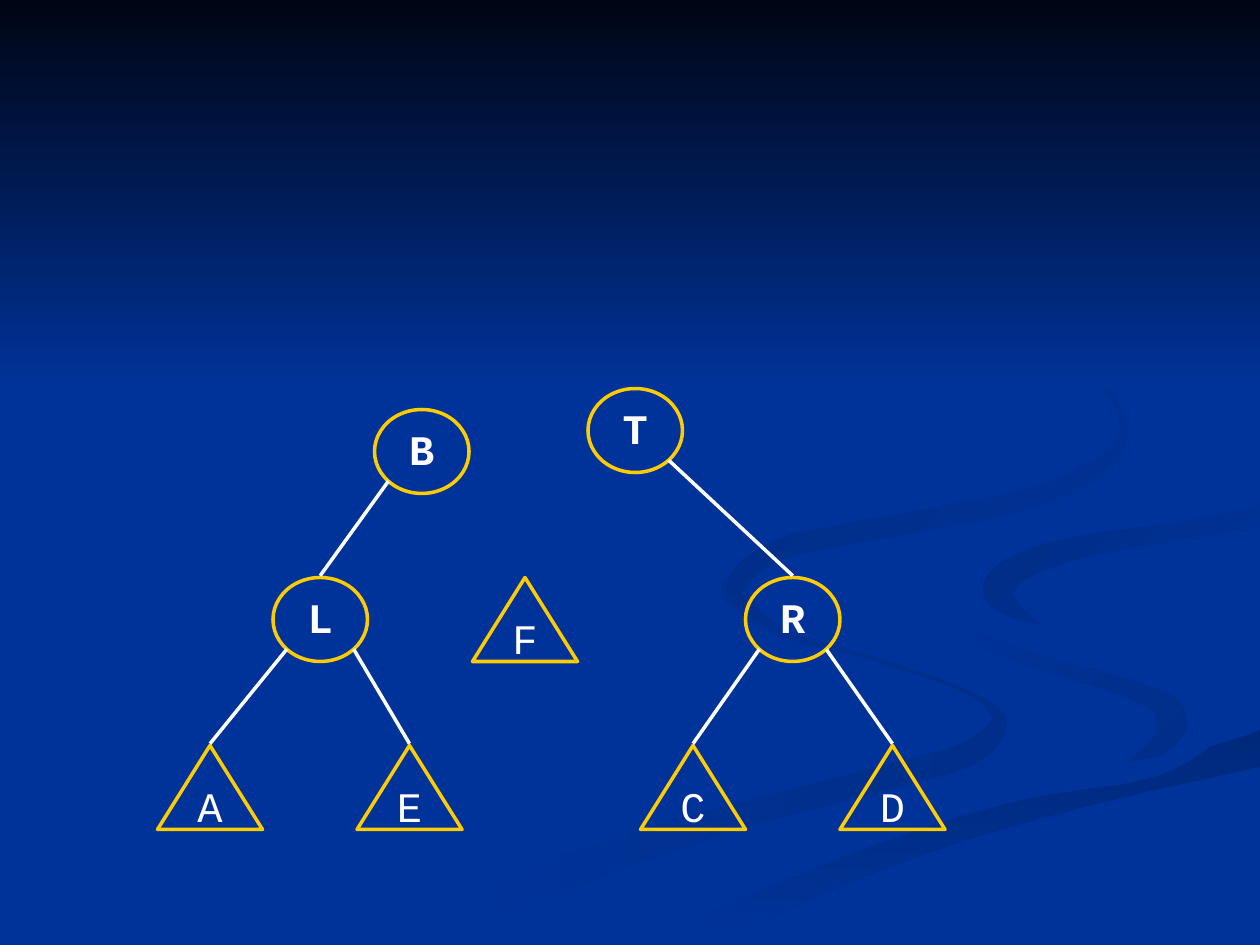
"""Draw a split search tree over a blue background with swirls."""
import math
from collections import namedtuple
from lxml import etree
from pptx import Presentation
from pptx import util as u
from pptx.dml.color import RGBColor
from pptx.enum import shapes as sh, text as tx
from pptx.oxml.ns import qn

BLUE = RGBColor(0x00, 0x33, 0x99)
NIGHT = RGBColor(0x00, 0x05, 0x14)
DEEP = RGBColor(0x00, 0x2E, 0x8A)
DARK = RGBColor(0x00, 0x29, 0x7C)
DUSK = RGBColor(0x00, 0x2C, 0x85)
SHADE = RGBColor(0x00, 0x2B, 0x81)
GOLD = RGBColor(0xFF, 0xCC, 0x00)
WHITE = RGBColor(0xFF, 0xFF, 0xFF)
FONT = "Courier New"

COLS, ROWS = 120, 90
TALL, ROUND, WIDE = 8, 9, 10
SKY = 37
STEPS = 6
FINE = 100
DIAG = math.cos(math.pi / 4) / 2

Swirl = namedtuple("Swirl", "first last angle spine")
Knot = namedtuple("Knot", "col row thick")

TAIL = Swirl(DEEP, BLUE, 180, [
    (69, 55.2, 0), (69.4, 57.1, 0.6), (74.4, 60.3, 0.6), (83.4, 62.8, 0.4),
    (91.2, 65.5, 0.4), (94.5, 67.5, 0.9), (94.9, 69.4, 1.9), (91.7, 72, 2.4),
    (83.4, 74.3, 2.3), (70.4, 77.7, 2.4), (60, 81, 2.9), (50, 84.6, 3.3), (39.7, 90, 3.7)])
CLAW = Swirl(DEEP, BLUE, 225, [
    (87, 55.7, 0), (89, 58.8, 1), (97.5, 62.6, 1.2), (106, 65.1, 1.6),
    (110.6, 66.8, 2.5), (111.6, 69.4, 3), (110.4, 71, 2), (107.3, 72.6, 0)])
BEAM = Swirl(DARK, BLUE, 90, [
    (121, 71.1, 3.4), (108.4, 74.4, 2.3), (95.6, 77.7, 2.3),
    (83.5, 81.6, 2.6), (72, 86.3, 3), (64.4, 90, 3.5)])
VEIL = Swirl(BLUE, BLUE, 0, [
    (121, 47.2, 1.8), (103.8, 50, 1.8), (95.4, 52, 3), (90.4, 55.5, 5.5),
    (93.6, 58.2, 3.2), (102, 61.4, 3), (112, 64.5, 3.4), (115.6, 68, 3.4),
    (110, 73.2, 1.5), (97.6, 75.5, 1.2), (84.5, 79.3, 1.4), (69, 85.3, 1.7), (59, 90, 2)])
CURL = Swirl(BLUE, DUSK, 225, [
    (121, 49.1, 2.2), (112.2, 50.6, 1.7), (103, 52.1, 2.1), (97, 54.1, 2.5),
    (95.1, 56.2, 2.9), (96.4, 58, 1.6), (99.1, 59.5, 0)])
HOOK = Swirl(BLUE, SHADE, 225, [
    (91.4, 28, 0), (100, 32.4, 0.6), (105, 36.5, 0.6), (107, 40.8, 0.7),
    (105, 44.2, 1.6), (98.6, 47.3, 2), (88.3, 49.5, 2), (81.6, 50.7, 2),
    (74, 52.4, 1.9), (70.2, 55.6, 1.9), (71.5, 58.1, 1.2), (74.6, 60, 0)])
SWIRLS = [TAIL, CLAW, BEAM, VEIL, CURL, HOOK]

NODES = {
    "T": (56, 37), "L": (26, 55), "R": (71, 55), "A": (15, 71), "D": (80, 71),
    "C": (61, 71), "B": (35.67, 39), "E": (34, 71), "F": (45, 55),
}
ROUNDS = "TLRB"
EDGES = ["LA", "TR", "RC", "RD", "BL", "LE"]


def place(box, col, row):
    """Turn a grid point of the box into slide units."""
    left, top, wide, high = box
    return int(left + col * wide / COLS), int(top + row * high / ROWS)


def size(box, cols, rows):
    """Turn a span of grid cells into slide units."""
    return place((0, 0) + box[2:], cols, rows)


def paint(form, first, last, angle):
    """Fill a borderless shape with one colour or a blend of two."""
    form.shadow.inherit = False
    form.line.fill.background()
    if first == last:
        form.fill.solid()
        form.fill.fore_color.rgb = first
        return
    form.fill.gradient()
    form.fill.gradient_angle = 360 - angle
    for stop, tone, spot in zip(form.fill.gradient_stops, (first, last), (0, 1)):
        stop.color.rgb = tone
        stop.position = spot


def blend(a, b, c, d, t):
    """Return the Catmull-Rom value at share t of the way from b to c."""
    return b + t / 2 * (c - a + t * (2 * a - 5 * b + 4 * c - d
                                     + t * (3 * (b - c) + d - a)))


def smooth(spine):
    """Run a soft curve through the knots of a spine."""
    ends = [spine[0], *spine, spine[-1]]
    curve = [Knot(*(blend(*axis, step / STEPS) for axis in zip(*ends[i:i + 4])))
             for i in range(len(spine) - 1) for step in range(STEPS)]
    return curve + [Knot(*spine[-1])]


def ribbon(spine):
    """Return the outline that lies half a thickness off each side of a spine."""
    curve = smooth(spine)
    near, far = [], []
    for prev, knot, after in zip(curve[:1] + curve, curve, curve[1:] + curve[-1:]):
        turn = math.atan2(after.row - prev.row, after.col - prev.col)
        for side, half in ((near, knot.thick / 2), (far, -knot.thick / 2)):
            col = knot.col - half * math.sin(turn)
            row = knot.row + half * math.cos(turn)
            side.append((min(col, COLS), min(row, ROWS)))
    return near + far[::-1]


def swirl(slide, box, item):
    """Draw one ribbon on the grid of the box."""
    pts = [(col * FINE, row * FINE) for col, row in ribbon(item.spine)]
    scale = box[2] / COLS / FINE, box[3] / ROWS / FINE
    pen = slide.shapes.build_freeform(*pts[0], scale=scale)
    pen.add_line_segments(pts[1:], close=True)
    form = pen.convert_to_shape(*box[:2])
    paint(form, item.first, item.last, item.angle)


def backdrop(slide, box):
    """Fill the background, then lay the swirls and the night sky over it."""
    slide.background.fill.solid()
    slide.background.fill.fore_color.rgb = BLUE
    for item in SWIRLS:
        swirl(slide, box, item)
    sky = slide.shapes.add_shape(
        sh.MSO_SHAPE.RECTANGLE, *place(box, 0, 0), *size(box, COLS, SKY))
    paint(sky, NIGHT, BLUE, 90)


def node(slide, box, name):
    """Draw a round node or a triangular subtree with its letter."""
    ring = name in ROUNDS
    kind = sh.MSO_SHAPE.OVAL if ring else sh.MSO_SHAPE.ISOSCELES_TRIANGLE
    mark = slide.shapes.add_shape(
        kind, *place(box, *NODES[name]), *size(box, ROUND if ring else WIDE, TALL))
    mark.shadow.inherit = False
    mark.fill.background()
    mark.line.color.rgb = GOLD
    mark.line.width = u.Pt(2)
    frame = mark.text_frame
    frame.word_wrap = False
    frame.vertical_anchor = tx.MSO_ANCHOR.MIDDLE
    frame.text = name
    para = frame.paragraphs[0]
    para.alignment = tx.PP_ALIGN.CENTER
    para.line_spacing = 0.9
    para.space_before = u.Pt(6)
    font = para.runs[0].font
    font.name, font.size, font.bold = FONT, u.Pt(24), ring
    font.color.rgb = WHITE


def line(slide, box, start, end):
    """Draw a white line between two grid points."""
    link = slide.shapes.add_connector(
        sh.MSO_CONNECTOR.STRAIGHT, *place(box, *start), *place(box, *end))
    link.line.color.rgb = WHITE
    link.line.width = u.Pt(2)
    etree.SubElement(link._element.spPr, qn("a:effectLst"))


def edge(slide, box, top, low):
    """Join the lower side of a parent to the top of its child."""
    col, row = NODES[top]
    kid, base = NODES[low]
    tip = kid + (ROUND if low in ROUNDS else WIDE) / 2
    mid = col + ROUND / 2
    side = math.copysign(DIAG, tip - mid)
    start = mid + side * ROUND, row + TALL * (0.5 + DIAG)
    line(slide, box, start, (tip, base - 0.17))


def tree(slide, box):
    """Draw all nodes, the edges and the dot beside F."""
    for name in NODES:
        node(slide, box, name)
    for top, low in EDGES:
        edge(slide, box, top, low)
    dot = 53.5, 59
    line(slide, box, dot, dot)


def main():
    """Build and save the slide."""
    deck = Presentation()
    deck.slide_width, deck.slide_height = u.Inches(10), u.Inches(7.5)
    slide = deck.slides.add_slide(deck.slide_layouts[6])
    box = 0, 0, deck.slide_width, deck.slide_height
    backdrop(slide, box)
    tree(slide, box)
    deck.save("out.pptx")


main()
